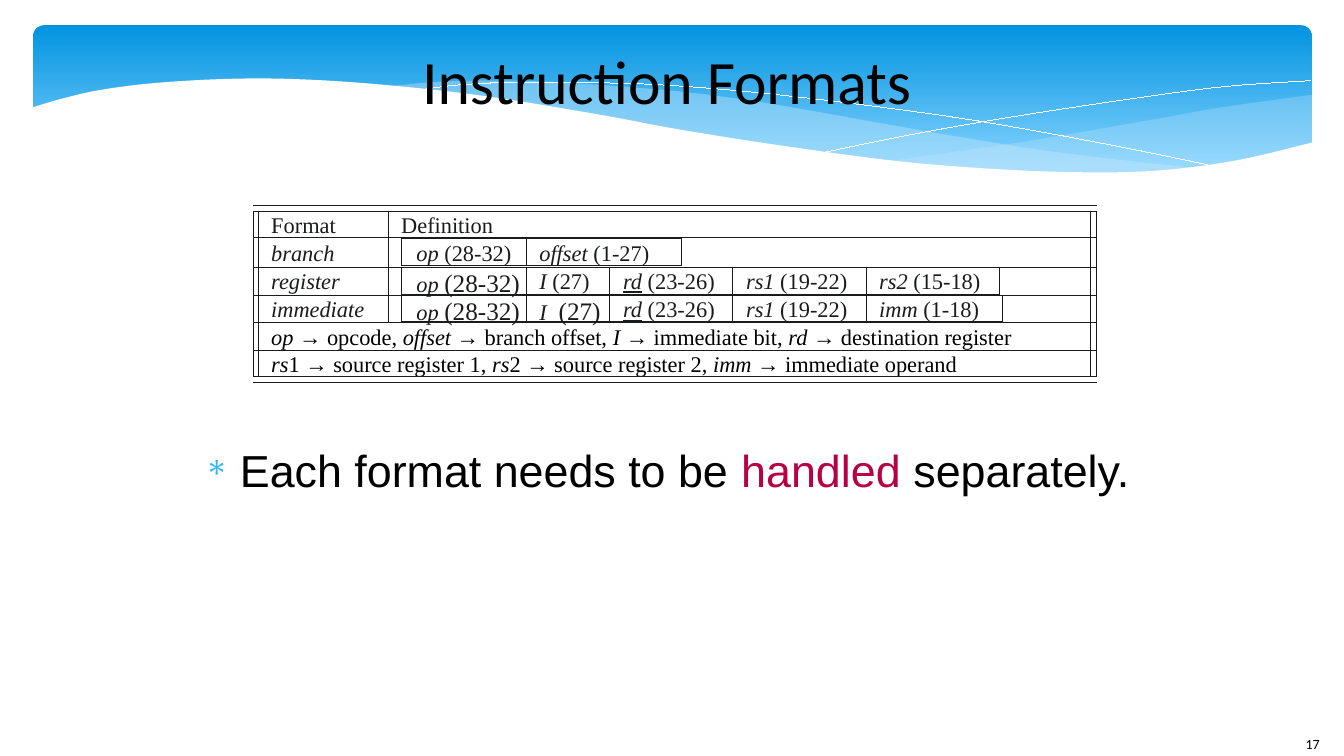
import pptx
import pptx.dml.color
import pptx.enum.shapes
import pptx.enum.text
import pptx.oxml
import pptx.oxml.ns
import pptx.util

COLOURS = {"ink": "000000", "rule": "1A1B1C", "accent": "B80047", "bullet": "31B6FD",
           "sky": "0293E0", "pale": "83D3FE", "wave": "C6E7FC", "white": "FFFFFF"}
COLUMNS, ROWS = 1333, 750  # the slide grid; one cell is a hundredth of an inch
CELL = pptx.util.Inches(0.01)
SPACE = pptx.oxml.ns.nsdecls("a")


def smooth(points, steps=5):
    """Catmull-Rom curve through the points, as a list of short steps."""
    padded = [points[0], *points, points[-1]]
    curve = [points[0]]
    for a, b, c, d in zip(padded, padded[1:], padded[2:], padded[3:]):
        for step in range(1, steps + 1):
            t = step / steps
            curve.append(tuple(
                q + ((r - p) * t + (2 * p - 5 * q + 4 * r - s) * t ** 2
                     + (3 * q - p - 3 * r + s) * t ** 3) / 2
                for p, q, r, s in zip(a, b, c, d)))
    return curve


class Page:
    def __init__(self, deck, font="Times New Roman", size=16):
        self.slide = deck.slides.add_slide(deck.slide_layouts[6])
        self.font, self.size = font, size

    def colour(self, name):
        return pptx.dml.color.RGBColor.from_string(COLOURS[name])

    def hairline(self, line, colour):
        line.color.rgb = self.colour(colour)
        line.width = pptx.util.Emu(1)

    def banner(self, left, top, width, height):
        shape = self.slide.shapes.add_shape(
            pptx.enum.shapes.MSO_SHAPE.ROUNDED_RECTANGLE,
            left * CELL, top * CELL, width * CELL, height * CELL)
        shape.adjustments[0] = 0.07
        shape.shadow.inherit = False
        shape.line.fill.background()
        shape.fill.gradient()
        shape.fill.gradient_angle = 270
        for stop, name, position in zip(shape.fill.gradient_stops, ("sky", "pale"), (0, 0.9)):
            stop.color.rgb = self.colour(name)
            stop.position = position

    def outline(self, *strokes, fill=None, opacity=100, line="rule"):
        """One freeform; each stroke is a list of points."""
        strokes = [[(x * CELL, y * CELL) for x, y in stroke] for stroke in strokes]
        builder = self.slide.shapes.build_freeform(*strokes[0][0])
        for number, stroke in enumerate(strokes):
            if number:
                builder.move_to(*stroke[0])
            builder.add_line_segments(stroke[1:], close=fill is not None)
        shape = builder.convert_to_shape()
        shape.shadow.inherit = False
        if fill:
            shape.fill.solid()
            shape.fill.fore_color.rgb = self.colour(fill)
            shape.line.fill.background()
            tint = shape._element.spPr.find(".//" + pptx.oxml.ns.qn("a:srgbClr"))
            tint.append(pptx.oxml.parse_xml(f'<a:alpha {SPACE} val="{opacity * 1000}"/>'))
        else:
            shape.fill.background()
            self.hairline(shape.line, line)

    def upright(self, x, top, bottom):
        line = self.slide.shapes.add_connector(
            pptx.enum.shapes.MSO_CONNECTOR.STRAIGHT, x * CELL, bottom * CELL, x * CELL, top * CELL)
        self.hairline(line.line, "rule")
        line._element.spPr.append(pptx.oxml.parse_xml(f'<a:effectLst {SPACE}/>'))

    def text(self, left, top, width, height, *lines, font=None, size=None, colour="rule", wrap=False):
        """Each line is a list of (text, style) runs; style may hold italic, underline, size, colour."""
        box = self.slide.shapes.add_textbox(left * CELL, top * CELL, width * CELL, height * CELL)
        frame = box.text_frame
        frame.word_wrap = wrap
        frame.margin_left = frame.margin_right = frame.margin_top = frame.margin_bottom = 0
        for number, runs in enumerate(lines):
            para = frame.add_paragraph() if number else frame.paragraphs[0]
            for words, style in runs:
                span = para.add_run()
                span.text = words
                span.font.name = font or self.font
                span.font.size = pptx.util.Pt(style.get("size", size or self.size))
                span.font.italic = style.get("italic", False)
                span.font.underline = style.get("underline", False)
                span.font.color.rgb = self.colour(style.get("colour", colour))
        return frame

    def bullet(self, para, mark, colour, margin, indent):
        settings = para._p.get_or_add_pPr()
        settings.set("marL", str(margin * CELL))
        settings.set("indent", str(indent * CELL))
        for part in (f'<a:buClr {SPACE}><a:srgbClr val="{COLOURS[colour]}"/></a:buClr>',
                     f'<a:buSzPct {SPACE} val="75000"/>',
                     f'<a:buFont {SPACE} typeface="Symbol"/>',
                     f'<a:buChar {SPACE} char="{mark}"/>'):
            settings.append(pptx.oxml.parse_xml(part))


PLAIN, ITALIC, UNDER = {}, {"italic": True}, {"italic": True, "underline": True}
LARGE = {"size": 18}


def draw_banner(page):
    page.banner(33, 25, 1268, 156)
    right_wave = (smooth([(1301, 94), (1265, 99), (1208, 107), (1147, 118), (1038, 137),
                          (972, 147), (882, 160)])
                  + smooth([(882, 160), (940, 165), (1009, 170), (1071, 172), (1126, 171),
                            (1174, 167), (1218, 162), (1257, 154), (1301, 142)]))
    middle_wave = (smooth([(1190, 167), (1116, 159), (1034, 149), (941, 134), (839, 116),
                           (759, 102), (686, 92), (619, 86), (560, 82), (506, 80),
                           (437, 81), (382, 86)])
                   + smooth([(382, 86), (456, 94), (539, 106), (654, 126), (755, 143),
                             (846, 156), (926, 165), (998, 170), (1061, 173), (1118, 172),
                             (1190, 167)]))
    falling_line = smooth([(412, 90), (447, 85), (499, 82), (577, 82), (652, 84), (742, 91),
                           (848, 103), (970, 120), (1108, 145), (1210, 166)])
    rising_line = smooth([(818, 151), (896, 135), (997, 117), (1115, 99), (1213, 86), (1300, 80)])
    lower_edge = smooth([(1303, 141), (1227, 159), (1151, 169), (1078, 171), (992, 168),
                         (891, 160), (772, 144), (671, 128), (596, 114), (486, 96), (390, 85),
                         (306, 79), (235, 78), (158, 82), (101, 89), (61, 98), (31, 107)])
    page.outline(right_wave, fill="wave", opacity=29)
    page.outline(middle_wave, fill="wave", opacity=40)
    page.outline(falling_line, line="white")
    page.outline(rising_line, line="white")
    page.outline(lower_edge + [(31, 224), (1303, 224)], fill="white")


def draw_formats(page):
    left, right, divider, gap = 251, 1088, 385, 13
    name_left, field_left = left + 5 + gap, divider + gap
    tops = [210, 236, 265, 293, 320, 348, 374]
    rd, rs1 = [("rd", UNDER), (" (23-26)", PLAIN)], [("rs1", ITALIC), (" (19-22)", PLAIN)]
    wide_op = [("op ", ITALIC), ("(28-32)", LARGE)]

    # One row per format: name, text top, field top and bottom, fields with their right edges
    formats = {
        1: ("branch", 237, 237, 263, [(522, [("op", ITALIC), (" (28-32)", PLAIN)]),
                                      (676, [("offset ", ITALIC), ("(1-27)", PLAIN)])]),
        2: ("register", 265, 265, 292, [(522, wide_op), (605, [("I", ITALIC), (" (27)", PLAIN)]),
                                        (727, rd), (859, rs1),
                                        (991, [("rs2", ITALIC), (" (15-18)", PLAIN)])]),
        3: ("immediate", 293, 293, 319, [(522, wide_op), (605, [("I ", ITALIC), (" (27)", LARGE)]),
                                         (727, rd), (859, rs1),
                                         (994, [("imm", ITALIC), (" (1-18)", PLAIN)])]),
    }
    for row, top in enumerate(tops):
        # Rules that close the row above and open this one
        strokes = []
        if row - 1 in formats:
            _, _, start, end, fields = formats[row - 1]
            edge = fields[-1][0]
            strokes += [[(edge, end), (edge, start)], [(field_left, end), (edge, end)]]
        if row:
            strokes += [[(x, top), (x, tops[row - 1])] for x in (right - 6, right)]
        doubled = {0: [top - 6, top], len(tops) - 1: [top, top + 5]}
        strokes += [[(left, y), (right, y)] for y in doubled.get(row, [top])]
        if top != tops[-1]:
            strokes += [[(x, tops[row + 1]), (x, top)] for x in (left, left + 5)]
        page.outline(*strokes)

        if row == 0:
            # Heading
            page.text(name_left, 209, 65, 27, [("Format", PLAIN)])
            page.upright(divider, top, tops[1])
            page.text(field_left, 209, 93, 27, [("Definition", PLAIN)])
        elif row in formats:
            # Format name and its fields
            name, text_top, field_top, field_bottom, fields = formats[row]
            page.text(name_left, text_top, 94, 27, [(name, ITALIC)])
            page.outline([(divider, tops[row + 1]), (divider, top)],
                         [(field_left, field_top), (fields[-1][0], field_top)],
                         [(field_left, field_bottom), (field_left, field_top)])
            start, inset = field_left, gap + 2
            for end, runs in fields:
                page.text(start + inset, text_top, end - start - inset, 27, runs)
                if end != fields[-1][0]:
                    page.upright(end, field_top, field_bottom)
                start, inset = end, gap
        elif row == 4:
            # Legend
            page.text(name_left, top + 1, 747, 54,
                      [("op → ", ITALIC), ("opcode, ", PLAIN), ("offset → ", ITALIC),
                       ("branch offset, ", PLAIN), ("I → ", ITALIC), ("immediate bit, ", PLAIN),
                       ("rd → ", ITALIC), ("destination register", PLAIN)],
                      [("rs", ITALIC), ("1 ", PLAIN), ("→ ", ITALIC), ("source register 1, ", PLAIN),
                       ("rs", ITALIC), ("2 ", PLAIN), ("→ ", ITALIC), ("source register 2, ", PLAIN),
                       ("imm → ", ITALIC), ("immediate operand", PLAIN)], colour="ink")


def main():
    deck = pptx.Presentation()
    deck.slide_width, deck.slide_height = COLUMNS * CELL, ROWS * CELL
    page = Page(deck)
    draw_banner(page)

    # Slide number and title
    page.text(1295, 730, 30, 20, [("17", PLAIN)], font="Calibri", size=10, colour="ink")
    title = page.text(256, 28, 811, 102, [("Instruction Formats", PLAIN)],
                      font="Calibri", size=44, colour="ink", wrap=True)
    title.vertical_anchor = pptx.enum.text.MSO_ANCHOR.MIDDLE
    title.paragraphs[0].alignment = pptx.enum.text.PP_ALIGN.CENTER

    # Message
    message = page.text(182, 439, 965, 71,
                        [("Each format needs to be", PLAIN), (" handled", {"colour": "accent"}),
                         (" separately.", PLAIN)], font="Arial", size=32, colour="ink", wrap=True)
    message.paragraphs[0].space_after = pptx.util.Pt(14)
    page.bullet(message.paragraphs[0], "∗", "bullet", 56, -35)

    draw_formats(page)
    deck.save("out.pptx")


if __name__ == "__main__":
    main()
